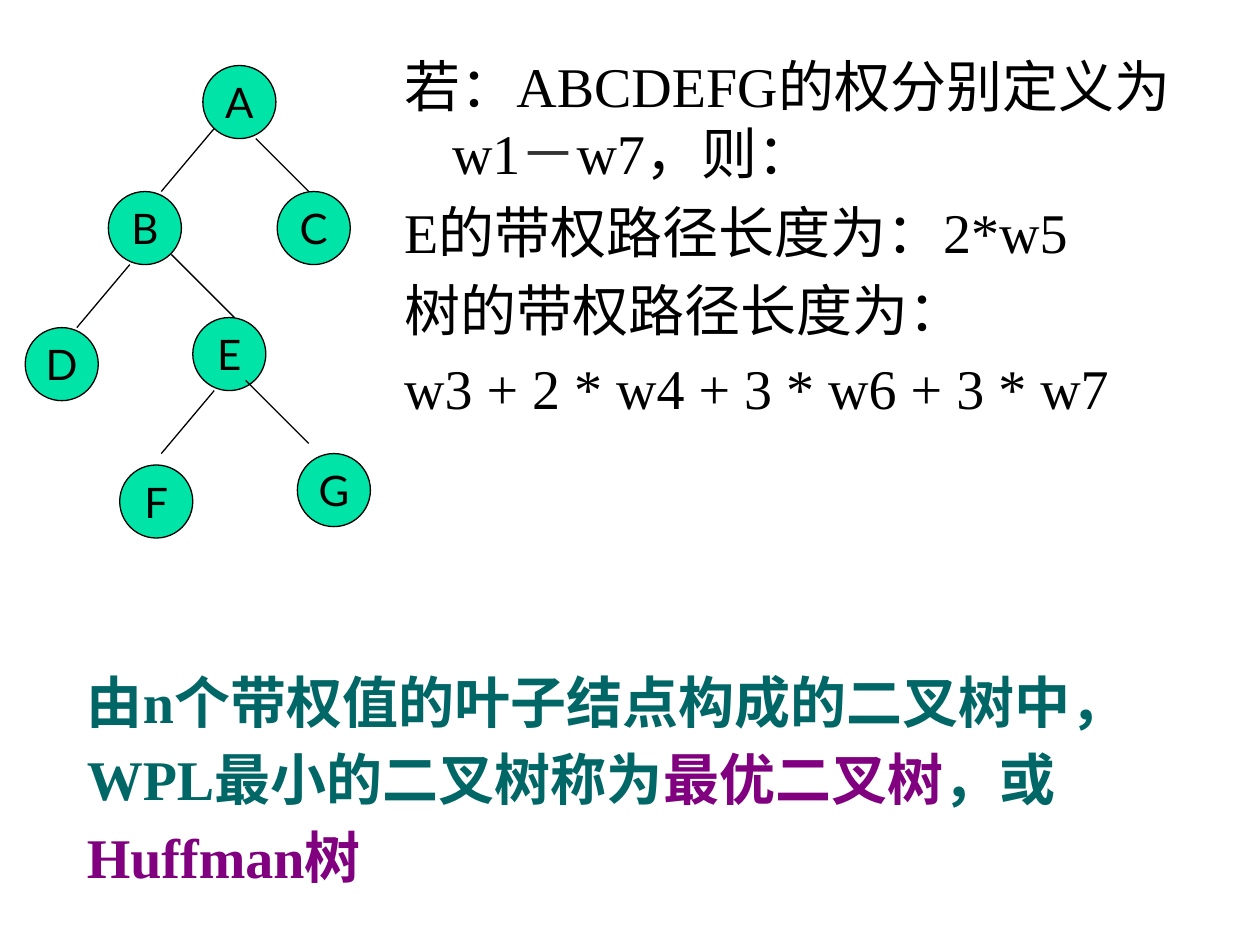
from pptx import Presentation
from pptx.dml.color import RGBColor
from pptx.enum.shapes import MSO_CONNECTOR, MSO_SHAPE
from pptx.enum.text import MSO_ANCHOR, PP_ALIGN
from pptx.oxml.ns import qn
from pptx.util import Pt
from lxml.etree import SubElement

EMU_PER_PX = 9144
COLORS = {
    "node": "00E4A8",
    "ink": "000000",
    "dash": "333333",
    "definition": "006666",
    "term": "800080",
}
NODE_SIZE = 58
NODES = {
    "A": (141, 0),
    "B": (66, 100),
    "C": (200, 100),
    "D": (0, 208),
    "E": (133, 200),
    "G": (216, 308),
    "F": (75, 317),
}
EDGES = [
    (150, 50, 108, 100),
    (83, 158, 41, 208),
    (150, 258, 108, 308),
    (183, 58, 225, 100),
    (116, 150, 166, 200),
    (175, 250, 225, 300),
]
WEIGHTS = [
    [("若：ABCDEFG的权分别定义为w1", "ink"), ("－", "dash"), ("w7，则：", "ink")],
    [("E的带权路径长度为：2*w5", "ink")],
    [("树的带权路径长度为：", "ink")],
    [("w3 + 2 * w4 + 3 * w6 + 3 * w7", "ink")],
]
DEFINITION = [
    [
        ("由n个带权值的叶子结点构成的二叉树中，WPL最小的二叉树称为", "definition"),
        ("最优二叉树", "term"),
        ("，或", "definition"),
        ("Huffman树", "term"),
    ]
]


def px(*lengths):
    return [length * EMU_PER_PX for length in lengths]


def color(name):
    return RGBColor.from_string(COLORS[name])


def outline(line):
    line.color.rgb = color("ink")
    line.width = Pt(0.75)


def add_node(tree, label, left, top):
    node = tree.shapes.add_shape(MSO_SHAPE.OVAL, *px(left, top, NODE_SIZE, NODE_SIZE))
    node.shadow.inherit = False
    node.fill.solid()
    node.fill.fore_color.rgb = color("node")
    outline(node.line)
    frame = node.text_frame
    frame.word_wrap = False
    frame.vertical_anchor = MSO_ANCHOR.MIDDLE
    letter = frame.paragraphs[0]
    letter.text = label
    letter.alignment = PP_ALIGN.CENTER
    letter.font.name = "Lato"
    letter.font.size = Pt(24)
    letter.font.color.rgb = color("ink")


def add_edge(tree, start, end):
    edge = tree.shapes.add_connector(MSO_CONNECTOR.STRAIGHT, *px(*start, *end))
    outline(edge.line)
    SubElement(edge._element.spPr, qn("a:effectLst"))


def add_tree(slide, left, top):
    tree = slide.shapes.add_group_shape()
    for label, (x, y) in NODES.items():
        add_node(tree, label, left + x, top + y)
    for x1, y1, x2, y2 in EDGES:
        add_edge(tree, (left + x1, top + y1), (left + x2, top + y2))


def add_passage(slide, box, paragraphs, bold=False, spacing=1.0, hanging=0):
    frame = slide.shapes.add_textbox(*px(*box)).text_frame
    frame.word_wrap = True
    for index, pieces in enumerate(paragraphs):
        paragraph = frame.add_paragraph() if index else frame.paragraphs[0]
        paragraph.font.name = "Times New Roman"
        paragraph.font.size = Pt(32)
        paragraph.font.bold = bold
        paragraph.line_spacing = spacing
        paragraph.space_before = Pt(6.4)
        if hanging:
            properties = paragraph._p.get_or_add_pPr()
            properties.set("marL", str(hanging * EMU_PER_PX))
            properties.set("indent", str(-hanging * EMU_PER_PX))
        for text, ink in pieces:
            run = paragraph.add_run()
            run.text = text
            run.font.color.rgb = color(ink)


def main():
    deck = Presentation()
    deck.slide_width, deck.slide_height = px(1000, 750)
    slide = deck.slides.add_slide(deck.slide_layouts[6])
    add_passage(slide, (59, 517, 882, 194), DEFINITION, bold=True, spacing=1.15)
    add_passage(slide, (311, 36, 673, 354), WEIGHTS, hanging=38)
    add_tree(slide, 20, 52)
    deck.save("out.pptx")


if __name__ == "__main__":
    main()
